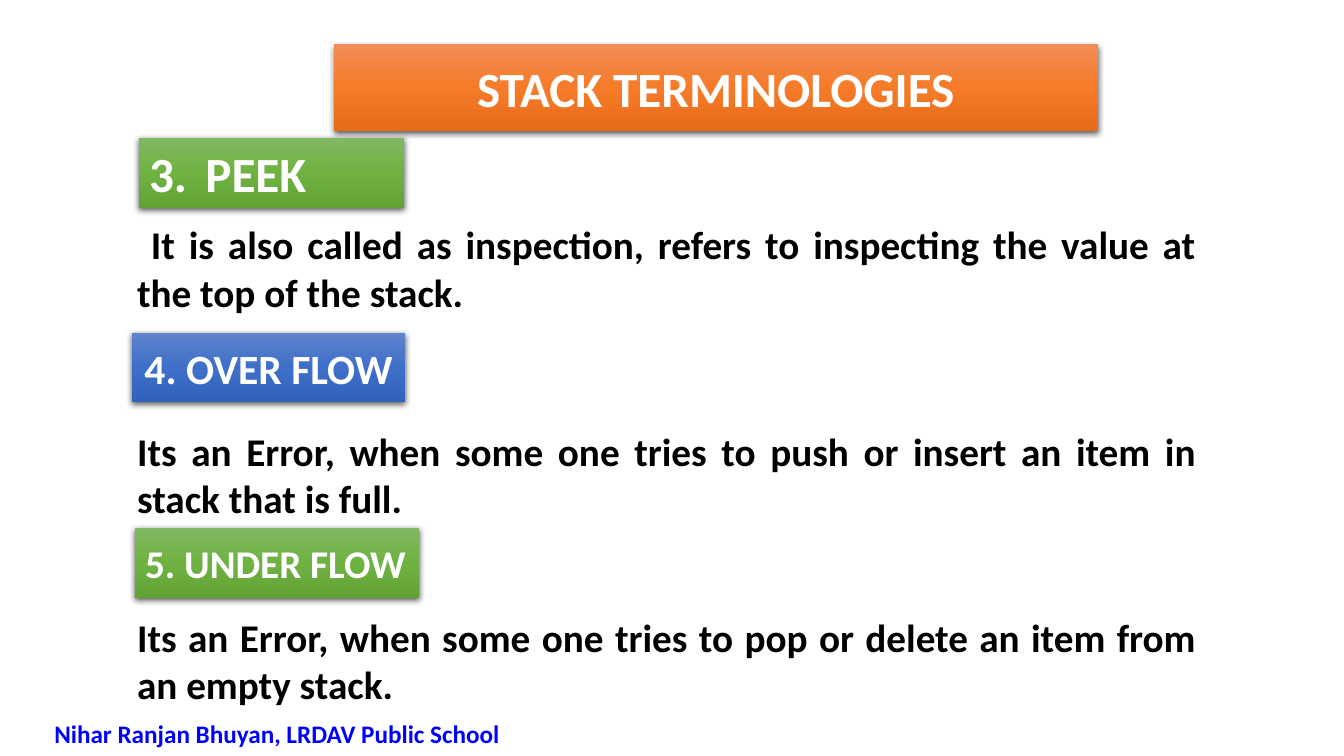
from lxml import etree
from pptx import Presentation
from pptx.dml.color import RGBColor
from pptx.enum.shapes import MSO_SHAPE
from pptx.enum.text import MSO_ANCHOR, MSO_AUTO_SIZE, PP_ALIGN
from pptx.oxml.ns import qn
from pptx.util import Inches, Pt

RECTANGLE = MSO_SHAPE.RECTANGLE
MIDDLE = MSO_ANCHOR.MIDDLE
TOP = MSO_ANCHOR.TOP
NO_AUTOFIT = MSO_AUTO_SIZE.NONE
CENTER = PP_ALIGN.CENTER
LEFT = PP_ALIGN.LEFT
JUSTIFY = PP_ALIGN.JUSTIFY

FONT = "Calibri"
COLORS = {"white": "FFFFFF", "black": "000000", "credit": "0000FF"}
GRADIENTS = {
    "orange": ["F18C57", "F67B28", "E56C19"],
    "green": ["81B861", "6FB242", "62A336"],
    "blue": ["6183CB", "3E70CA", "3062BB"],
}
DEFINITIONS = [
    (" It is also called as inspection, refers to inspecting the value at the top of the stack.", 0),
    ("Its an Error, when some one tries to push or insert an item in stack that is full.", 80),
    ("Its an Error, when some one tries to pop or delete an item from an empty stack.", 66),
]
TERMS = [
    ("3.\tPEEK", (1.38, 1.37, 2.63, 0.69), "green", 35.1, LEFT),
    ("4. OVER FLOW", (1.31, 3.3, 2.71, 0.69), "blue", 29.7, CENTER),
    ("5. UNDER FLOW", (1.34, 5.24, 2.82, 0.69), "green", 28, LEFT),
]


def place(shape, box):
    shape.left, shape.top, shape.width, shape.height = map(Inches, box)


def add_color(parent, color):
    return etree.SubElement(parent, qn("a:srgbClr"), val=color)


def style_banner(shape, gradient):
    shape.line.fill.background()
    shape.shadow.inherit = False
    properties = shape.element.spPr

    fill = etree.Element(qn("a:gradFill"), rotWithShape="1")
    stops = etree.SubElement(fill, qn("a:gsLst"))
    for index, color in enumerate(GRADIENTS[gradient]):
        add_color(etree.SubElement(stops, qn("a:gs"), pos=str(index * 50000)), color)
    etree.SubElement(fill, qn("a:lin"), ang="5400000", scaled="0")
    properties.find(qn("a:ln")).addprevious(fill)

    shadow = etree.SubElement(
        properties.find(qn("a:effectLst")), qn("a:outerShdw"),
        blurRad=str(Pt(4.5)), dist=str(Pt(1.5)), dir="5400000",
        algn="ctr", rotWithShape="0")
    etree.SubElement(add_color(shadow, COLORS["black"]), qn("a:alpha"), val="63000")


def write(paragraph, text, size, color, alignment):
    paragraph.alignment = alignment
    run = paragraph.add_run()
    run.text = text
    run.font.name = FONT
    run.font.size = Pt(size)
    run.font.bold = True
    run.font.color.rgb = RGBColor.from_string(COLORS[color])


def fill_banner(shape, text, gradient, size, alignment):
    style_banner(shape, gradient)
    frame = shape.text_frame
    frame.word_wrap = True
    frame.auto_size = NO_AUTOFIT
    frame.vertical_anchor = MIDDLE
    paragraph = frame.paragraphs[0]
    write(paragraph, text, size, "white", alignment)
    if "\t" in text:
        hanging = Inches(0.56)
        paragraph_properties = paragraph._p.get_or_add_pPr()
        paragraph_properties.set("marL", str(hanging))
        paragraph_properties.set("indent", str(-hanging))


def add_title(slide, box):
    title = slide.shapes.title
    place(title, box)
    fill_banner(title, "STACK TERMINOLOGIES", "orange", 35.1, CENTER)


def add_definitions(slide, box):
    body = slide.placeholders[1]
    place(body, box)
    frame = body.text_frame
    frame.word_wrap = True
    frame.auto_size = NO_AUTOFIT
    frame.vertical_anchor = TOP
    frame.margin_top = Inches(0.76)
    for index, (text, gap) in enumerate(DEFINITIONS):
        paragraph = frame.add_paragraph() if index else frame.paragraphs[0]
        paragraph_properties = paragraph._p.get_or_add_pPr()
        paragraph_properties.set("marL", "0")
        paragraph_properties.set("indent", "0")
        etree.SubElement(paragraph_properties, qn("a:buNone"))
        paragraph.space_before = Pt(gap)
        write(paragraph, text, 28, "black", JUSTIFY)


def add_term(slide, text, box, gradient, size, alignment):
    banner = slide.shapes.add_shape(RECTANGLE, *map(Inches, box))
    fill_banner(banner, text, gradient, size, alignment)


def add_credit(slide, box):
    frame = slide.shapes.add_textbox(*map(Inches, box)).text_frame
    frame.word_wrap = True
    write(frame.paragraphs[0], "Nihar Ranjan Bhuyan, LRDAV Public School", 18, "credit", LEFT)


def main():
    presentation = Presentation()
    presentation.slide_width = Inches(13.33)
    presentation.slide_height = Inches(7.5)
    slide = presentation.slides.add_slide(presentation.slide_layouts[1])
    add_title(slide, (3.31, 0.44, 7.58, 0.86))
    add_definitions(slide, (1.26, 1.43, 10.7, 5.71))
    for term in TERMS:
        add_term(slide, *term)
    add_credit(slide, (0.44, 7.08, 4.77, 0.4))
    presentation.save("out.pptx")


if __name__ == "__main__":
    main()
